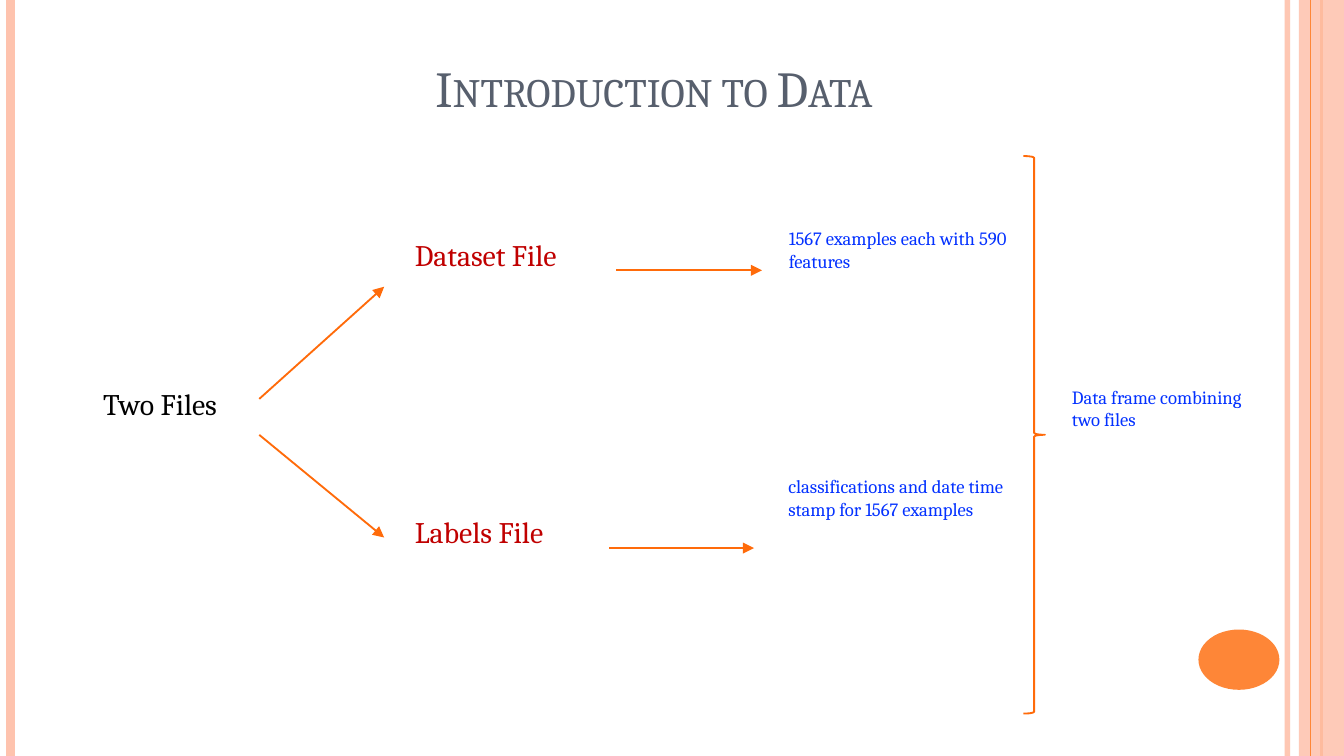
from lxml import etree
from pptx import Presentation
from pptx.dml.color import RGBColor
from pptx.enum.shapes import MSO_CONNECTOR, MSO_SHAPE as SHAPE
from pptx.enum.text import MSO_ANCHOR as ANCHOR, PP_ALIGN as ALIGN
from pptx.oxml.ns import qn
from pptx.util import Cm, Pt

WIDTH, HEIGHT = 25.4, 14.29
ORANGE, PEACH, ARROW = "FE8637", "FEC3AE", "FF6B0A"
SLATE, BLACK, RED, BLUE = "575F6D", "000000", "C00000", "0432FF"


def rgb(color):
    """Turn a hex string into a colour."""
    return RGBColor.from_string(color)


def set_alpha(sp, opacity):
    """Set the opacity, in percent, of the first colour in a shape."""
    clr = next(sp._element.spPr.iter(qn("a:srgbClr")))
    etree.SubElement(clr, qn("a:alpha")).set("val", str(opacity * 1000))


class Deck:
    """Hold the style and the current slide."""

    font = "Cambria"

    def __init__(self):
        """Start a presentation with one blank slide."""
        self.prs = Presentation()
        self.prs.slide_width, self.prs.slide_height = Cm(WIDTH), Cm(HEIGHT)
        self.slide = self.prs.slides.add_slide(self.prs.slide_layouts[6])

    def shape(self, kind, x, y, w, h, fill=None, line=None, opacity=100):
        """Add a preset shape with a fill or a one-point outline."""
        s = self.slide.shapes.add_shape(kind, Cm(x), Cm(y), Cm(w), Cm(h))
        s.shadow.inherit = False
        if fill:
            s.fill.solid()
            s.fill.fore_color.rgb = rgb(fill)
        else:
            s.fill.background()
        if line:
            s.line.color.rgb = rgb(line)
            s.line.width = Pt(1)
        else:
            s.line.fill.background()
        if opacity < 100:
            set_alpha(s, opacity)

    def line(self, x1, y1, x2, y2, color=ARROW, width=1, opacity=100, arrow=False):
        """Add a straight line, with an arrowhead at its end if asked."""
        c = self.slide.shapes.add_connector(
            MSO_CONNECTOR.STRAIGHT, Cm(x1), Cm(y1), Cm(x2), Cm(y2))
        c.line.color.rgb = rgb(color)
        c.line.width = Pt(width)
        if opacity < 100:
            set_alpha(c, opacity)
        if arrow:
            ln = c.line._get_or_add_ln()
            etree.SubElement(ln, qn("a:tailEnd")).set("type", "triangle")
        etree.SubElement(c._element.spPr, qn("a:effectLst"))

    def text(self, text, x, y, w, h, size=16, color=BLACK, align=ALIGN.LEFT,
             anchor=ANCHOR.TOP, small_caps=False):
        """Add a wrapped text box with one run."""
        tf = self.slide.shapes.add_textbox(Cm(x), Cm(y), Cm(w), Cm(h)).text_frame
        tf.word_wrap = True
        tf.vertical_anchor = anchor
        p = tf.paragraphs[0]
        p.alignment = align
        r = p.add_run()
        r.text = text
        r.font.name, r.font.size = self.font, Pt(size)
        r.font.color.rgb = rgb(color)
        if small_caps:
            r._r.get_or_add_rPr().set("cap", "small")

    def save(self):
        """Write the file."""
        self.prs.save("out.pptx")


deck = Deck()

# Side decoration
deck.line(24.33, 0, 24.33, HEIGHT, PEACH, 3, opacity=93)
deck.line(0.2, 0, 0.2, HEIGHT, PEACH, 4.5)
deck.line(24.97, 0, 24.97, HEIGHT, ORANGE, 1.5)
deck.shape(SHAPE.RECTANGLE, 24.55, 0, 0.85, HEIGHT, fill=PEACH, opacity=87)
deck.line(24.77, 0, 24.77, HEIGHT, ORANGE, 0.75)
deck.shape(SHAPE.OVAL, 22.65, 11.9, 1.53, 1.14, fill=ORANGE)

deck.text("Introduction to Data", 1.3, 0.94, 22.12, 1.4, size=27, color=SLATE,
          align=ALIGN.CENTER, anchor=ANCHOR.BOTTOM, small_caps=True)

# Files
for label, x, y, color in (("Two Files", 1.7, 7.16, BLACK),
                           ("Dataset File", 7.59, 4.34, RED),
                           ("Labels File", 7.59, 9.58, RED)):
    deck.text(label, x, y, 3.9, 1.6, color=color)

# Descriptions
for note, x, y, w in (
        ("1567 examples each with 590 features", 14.66, 4.17, 4.75),
        ("classifications and date time stamp for 1567 examples", 14.65, 8.86, 4.75),
        ("Data frame combining two files", 20.01, 7.16, 4.09)):
    deck.text(note, x, y, w, 1.88, size=10, color=BLUE)

# Flow
for ends in ((4.9, 7.54, 7.26, 5.42), (4.9, 8.22, 7.26, 10.16),
             (11.65, 5.11, 14.4, 5.11), (11.51, 10.36, 14.25, 10.36)):
    deck.line(*ends, arrow=True)
deck.shape(SHAPE.RIGHT_BRACE, 19.34, 2.95, 0.41, 10.54, line=ARROW)

deck.save()
